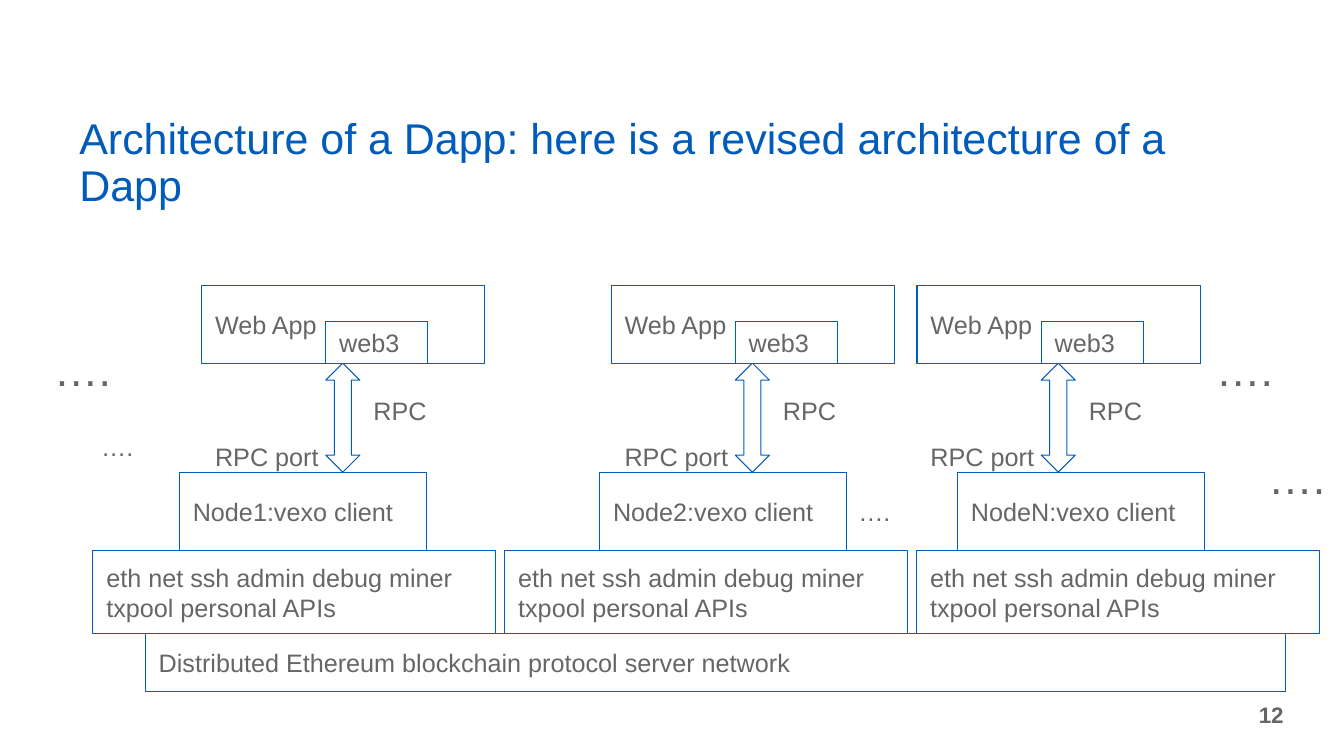
from typing import NamedTuple

from pptx import Presentation
from pptx import util as u
from pptx.dml.color import RGBColor
from pptx.enum import shapes, text

BLUE = RGBColor(0x00, 0x5B, 0xBB)
GRAY = RGBColor(0x66, 0x66, 0x66)
WHITE = RGBColor(0xFF, 0xFF, 0xFF)
FONT = "Arial"

API_TEXT = "eth net ssh admin debug miner\ntxpool personal APIs"
API_LEFT, API_STEP = 2.34, 10.38


class Box(NamedTuple):
    """Position and size in centimetres."""
    x: float
    y: float
    w: float
    h: float


class Stack(NamedTuple):
    """One web app above its client node."""
    node: str
    app_x: float
    node_x: float


class Dots(NamedTuple):
    box: Box
    size: float
    anchor: text.MSO_ANCHOR


STACKS = [
    Stack("Node1", 5.08, 4.52),
    Stack("Node2", 15.4, 15.11),
    Stack("NodeN", 23.11, 24.13),
]

TOP, MIDDLE = text.MSO_ANCHOR.TOP, text.MSO_ANCHOR.MIDDLE
DOTS = [
    Dots(Box(2.21, 10.52, 2.62, 0.91), 18, TOP),
    Dots(Box(1.02, 7.87, 6.22, 2.82), 32, MIDDLE),
    Dots(Box(31.62, 11, 2.62, 0.91), 32, TOP),
    Dots(Box(30.3, 7.87, 6.22, 2.82), 32, MIDDLE),
    Dots(Box(21.29, 11.91, 2.62, 1.96), 18, MIDDLE),
]


def write(sp, content: str, *, size: float = 18, color: RGBColor = GRAY,
          bold: bool = False, anchor=MIDDLE, align=text.PP_ALIGN.LEFT,
          inset: float = 0.34, spacing: float = 1.0) -> None:
    """Fill a shape with text, one paragraph per line."""
    tf = sp.text_frame
    tf.word_wrap = True
    tf.auto_size = text.MSO_AUTO_SIZE.NONE
    tf.vertical_anchor = anchor
    tf.margin_left = tf.margin_right = u.Cm(inset)
    tf.margin_top = tf.margin_bottom = u.Cm(inset)
    for i, line in enumerate(content.split("\n")):
        p = tf.paragraphs[0] if i == 0 else tf.add_paragraph()
        p.alignment = align
        p.line_spacing = spacing
        r = p.add_run()
        r.text = line
        r.font.name = FONT
        r.font.size = u.Pt(size)
        r.font.bold = bold
        r.font.color.rgb = color


def add_label(parent, box: Box, content: str, **fmt) -> None:
    sp = parent.add_textbox(*map(u.Cm, box))
    write(sp, content, **fmt)


def add_outlined(parent, box: Box, content: str = "",
                 kind=shapes.MSO_SHAPE.RECTANGLE) -> None:
    """Add a white shape with a thin blue outline."""
    sp = parent.add_shape(kind, *map(u.Cm, box))
    sp.shadow.inherit = False
    sp.fill.solid()
    sp.fill.fore_color.rgb = WHITE
    sp.line.color.rgb = BLUE
    sp.line.width = u.Pt(0.75)
    if content:
        write(sp, content)


def add_web_app(parent, x: float) -> None:
    """Add a grouped web app with its RPC arrow and labels."""
    g = parent.add_group_shape().shapes
    add_outlined(g, Box(x, 7.19, 7.14, 1.96), "Web App")
    add_outlined(g, Box(x + 3.13, 9.15, 0.86, 2.75),
                 kind=shapes.MSO_SHAPE.UP_DOWN_ARROW)
    add_outlined(g, Box(x + 3.13, 8.1, 2.57, 1.05), "web3")
    add_label(g, Box(x + 3.99, 9.63, 4.52, 1.45), "RPC", anchor=TOP)
    add_label(g, Box(x, 10.78, 4.52, 1.45), "RPC port", anchor=TOP)


def main() -> None:
    prs = Presentation()
    prs.slide_width, prs.slide_height = u.Cm(33.87), u.Cm(19.05)
    s = prs.slides.add_slide(prs.slide_layouts[6]).shapes

    add_label(s, Box(1.75, 2.74, 30.45, 2.82),
              "Architecture of a Dapp: here is a revised architecture of a Dapp",
              size=30.7, color=BLUE, anchor=text.MSO_ANCHOR.BOTTOM,
              inset=0.25, spacing=0.9)
    add_label(s, Box(30.68, 17.27, 2.01, 1.47), "12", size=16, bold=True,
              align=text.PP_ALIGN.RIGHT)

    add_outlined(s, Box(3.66, 15.97, 28.73, 1.45),
                 "Distributed Ethereum blockchain protocol server network")
    for i, stack in enumerate(STACKS):
        add_outlined(s, Box(stack.node_x, 11.91, 6.22, 1.96),
                     f"{stack.node}:vexo client")
        add_web_app(s, stack.app_x)
        add_outlined(s, Box(API_LEFT + i * API_STEP, 13.87, 10.16, 2.1),
                     API_TEXT)
    for dots in DOTS:
        add_label(s, dots.box, "….", size=dots.size, anchor=dots.anchor)

    prs.save("out.pptx")


if __name__ == "__main__":
    main()
